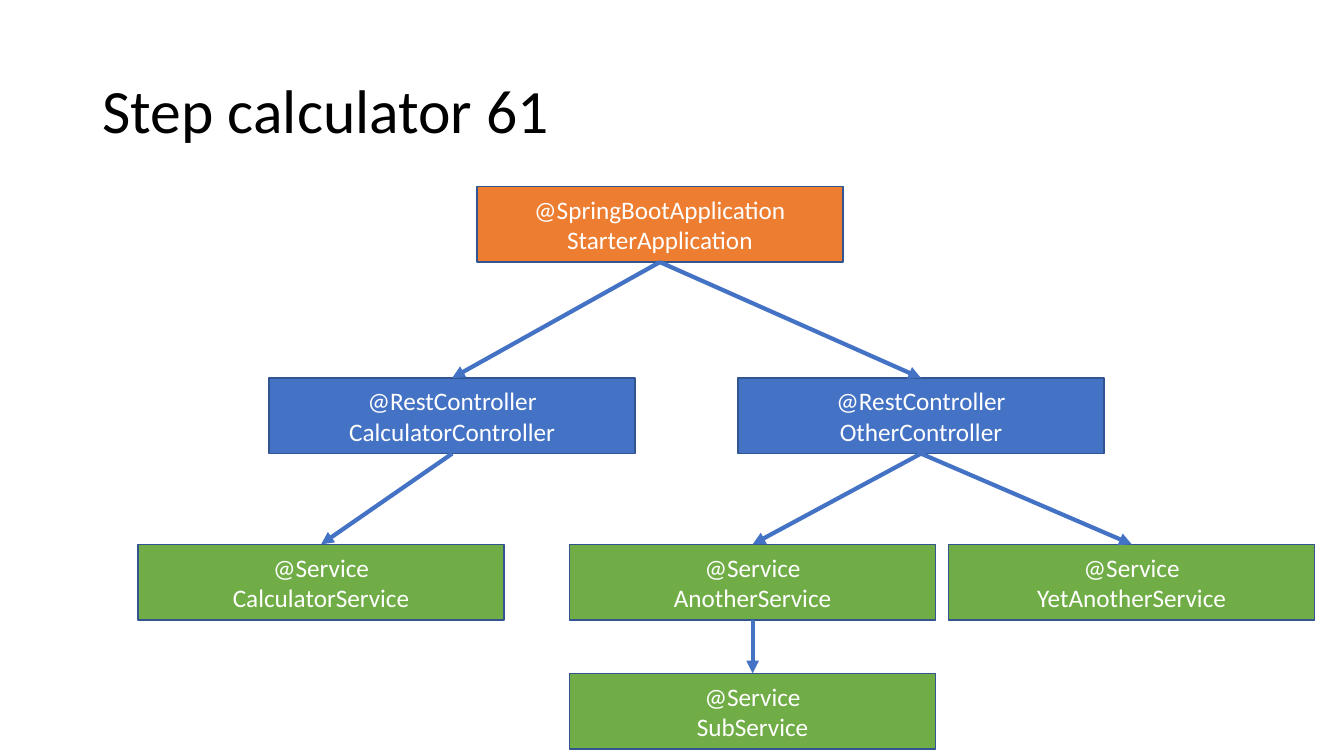
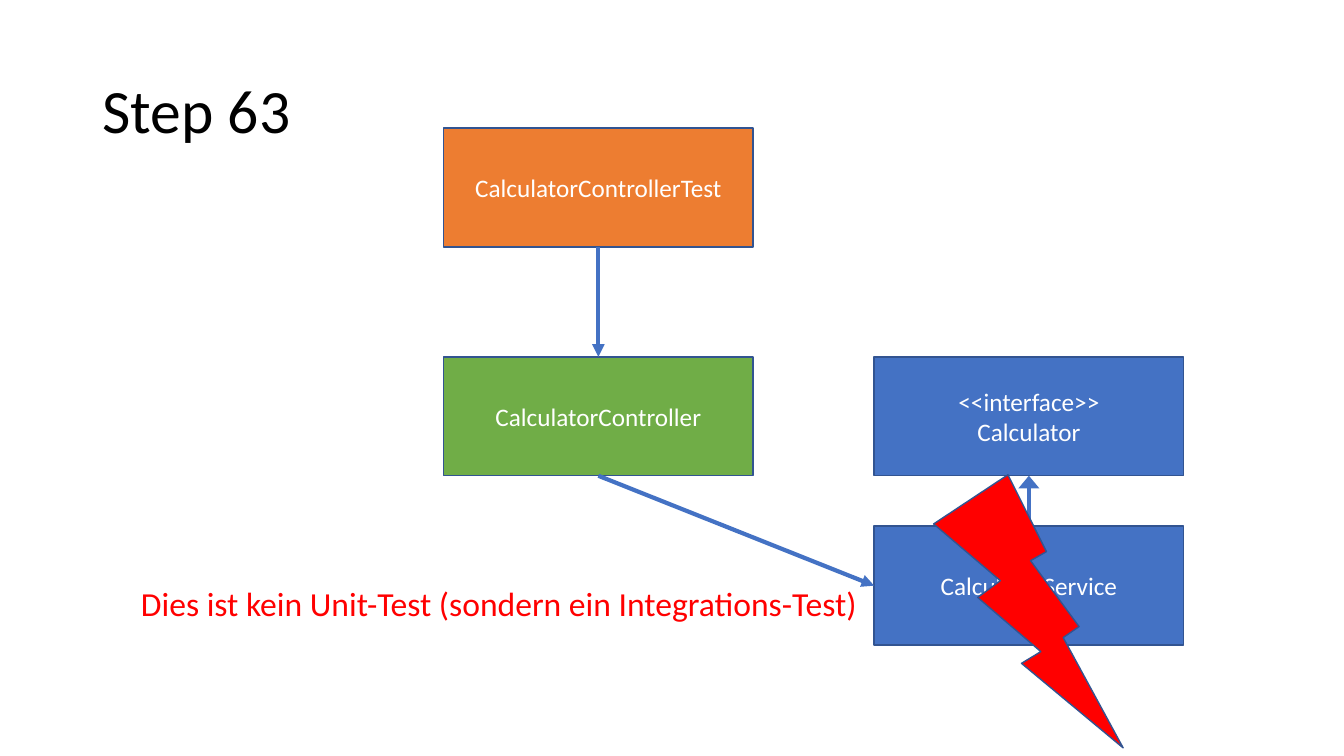
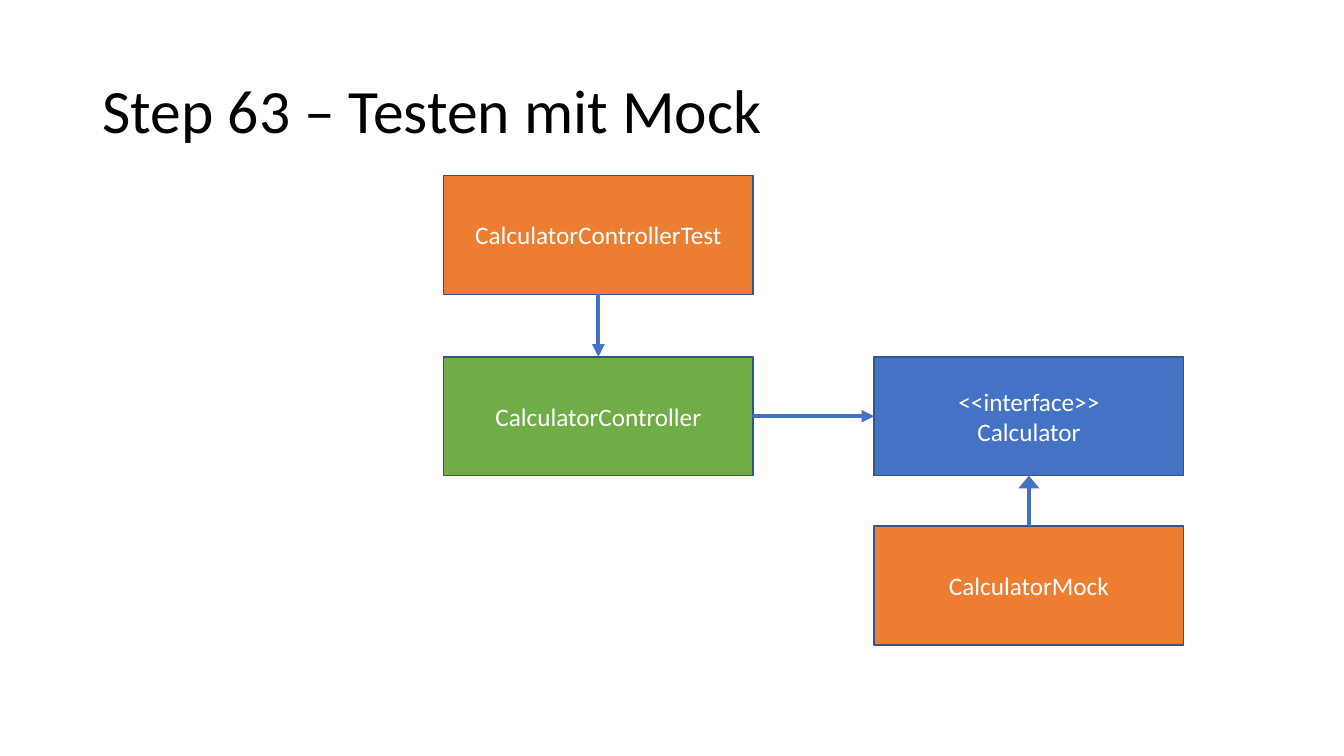
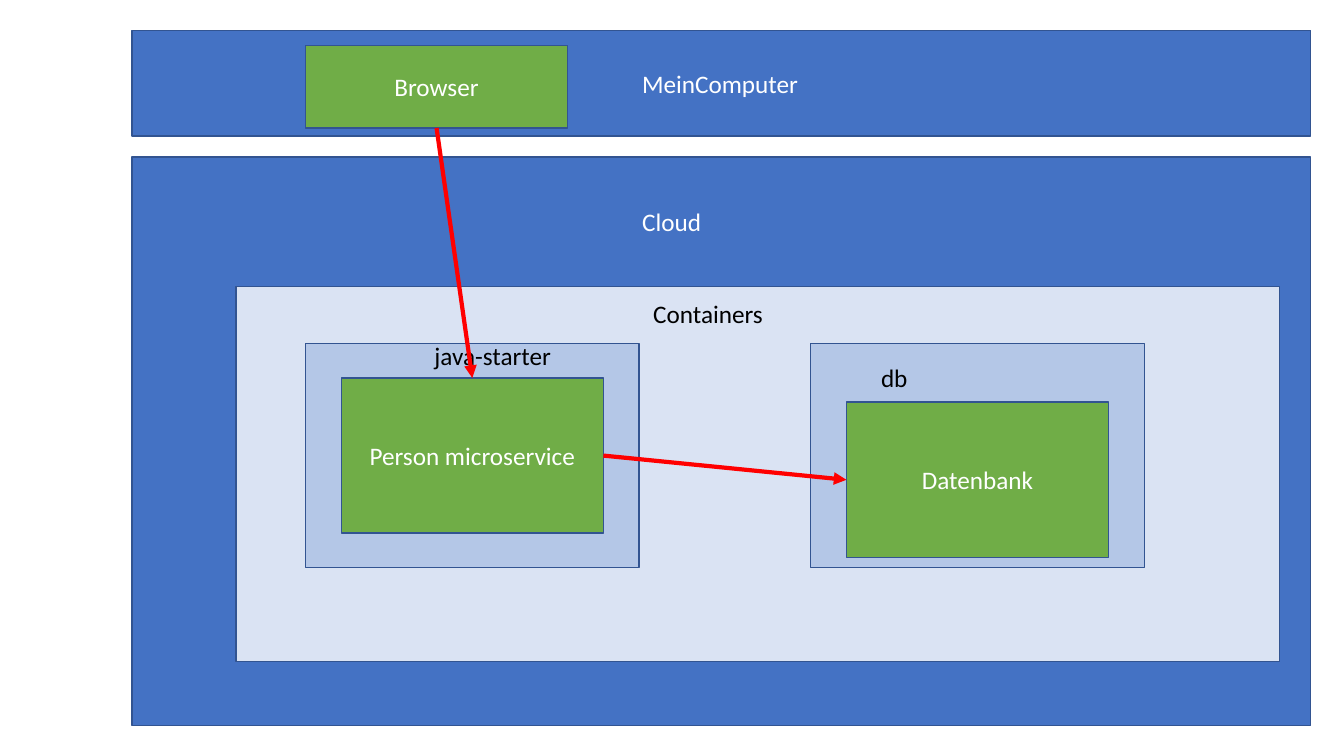
from lxml import etree
from pptx import Presentation
from pptx.dml.color import RGBColor
from pptx.enum.shapes import MSO_CONNECTOR, MSO_SHAPE
from pptx.enum.text import MSO_ANCHOR, MSO_AUTO_SIZE, PP_ALIGN
from pptx.oxml.ns import qn
from pptx.util import Inches, Pt

RECTANGLE, BOLT = MSO_SHAPE.RECTANGLE, MSO_SHAPE.LIGHTNING_BOLT
STRAIGHT = MSO_CONNECTOR.STRAIGHT
MIDDLE, CENTER = MSO_ANCHOR.MIDDLE, PP_ALIGN.CENTER
GROW = MSO_AUTO_SIZE.SHAPE_TO_FIT_TEXT

FONT = "Calibri"
COLORS = {
    "blue": "4472C4", "orange": "ED7D31", "green": "70AD47", "red": "FF0000",
    "pale": "DAE3F3", "soft": "B4C7E7", "outline": "325491",
    "white": "FFFFFF", "black": "000000",
}
SLIDE_SIZE = (13.33, 7.5)
TITLE_AREA = (0.92, 0.4, 11.5, 1.45)
LABEL_HEIGHT = 0.4
TOP, LEFT, BOTTOM, RIGHT = range(4)  # connection sites of a rectangle

# Bean tree: rows from the top, equal boxes
BEAN_SIZE = (3.63, 0.75)
APP_ROW, CONTROLLER_ROW, SERVICE_ROW, SUB_ROW = 1.85, 3.75, 5.4, 6.68

# Class diagrams: two columns, two shared rows, equal boxes
CLASS_SIZE = (3.07, 1.18)
LEFT_COL, RIGHT_COL = 4.4, 8.67
UPPER_ROW, LOWER_ROW = 3.54, 5.22

# Deployment: outer bands, pods and the parts inside them
BAND_LEFT, BAND_WIDTH = 1.31, 11.69
POD_SIZE, PART_SIZE = (3.31, 2.22), (2.6, 1.54)
STARTER_LEFT, DB_LEFT, POD_TOP = 3.03, 8.04, 3.41
PART_INDENT = (POD_SIZE[0] - PART_SIZE[0]) / 2

# Boxes: key -> (lines, fill, (left, top), (width, height))
# Arrows: (from key, site, to key, site, colour, head width)
BEANS = {
    "app": (["@SpringBootApplication", "StarterApplication"], "orange", (4.73, APP_ROW), BEAN_SIZE),
    "calculator": (["@RestController", "CalculatorController"], "blue", (2.67, CONTROLLER_ROW), BEAN_SIZE),
    "other": (["@RestController", "OtherController"], "blue", (7.32, CONTROLLER_ROW), BEAN_SIZE),
    "service": (["@Service", "CalculatorService"], "green", (1.37, SERVICE_ROW), BEAN_SIZE),
    "another": (["@Service", "AnotherService"], "green", (5.65, SERVICE_ROW), BEAN_SIZE),
    "yet another": (["@Service", "YetAnotherService"], "green", (9.41, SERVICE_ROW), BEAN_SIZE),
    "sub": (["@Service", "SubService"], "green", (5.65, SUB_ROW), BEAN_SIZE),
}
BEAN_LINKS = [
    ("app", "calculator"), ("app", "other"), ("calculator", "service"),
    ("other", "yet another"), ("other", "another"), ("another", "sub"),
]


def class_boxes(test_top, implementation, fill):
    return {
        "controller": (["CalculatorController"], "green", (LEFT_COL, UPPER_ROW), CLASS_SIZE),
        "interface": (["<<interface>>", "Calculator"], "blue", (RIGHT_COL, UPPER_ROW), CLASS_SIZE),
        "implementation": ([implementation], fill, (RIGHT_COL, LOWER_ROW), CLASS_SIZE),
        "test": (["CalculatorControllerTest"], "orange", (LEFT_COL, test_top), CLASS_SIZE),
    }


CLASS_ARROWS = [
    ("implementation", TOP, "interface", BOTTOM, "blue", "lg"),
    ("test", BOTTOM, "controller", TOP, "blue", "med"),
]
DEPLOYMENT = {
    "cloud": ([], "blue", (BAND_LEFT, 1.56), (BAND_WIDTH, 5.64)),
    "cluster": ([], "pale", (2.34, 2.84), (10.35, 3.72)),
    "db pod": ([], "soft", (DB_LEFT, POD_TOP), POD_SIZE),
    "starter pod": ([], "soft", (STARTER_LEFT, POD_TOP), POD_SIZE),
    "database": (["Datenbank"], "green", (DB_LEFT + PART_INDENT, 3.99), PART_SIZE),
    "person": (["Person microservice"], "green", (STARTER_LEFT + PART_INDENT, 3.75), PART_SIZE),
    "computer": ([], "blue", (BAND_LEFT, 0.3), (BAND_WIDTH, 1.05)),
    "browser": (["Browser"], "green", (STARTER_LEFT, 0.45), (PART_SIZE[0], 0.82)),
}

SLIDES = [
    {
        "title": "Step calculator 61",
        "boxes": BEANS,
        "arrows": [(parent, BOTTOM, child, TOP, "blue", "med") for parent, child in BEAN_LINKS],
    },
    {
        "title": "Step 63",
        "boxes": class_boxes(1.27, "CalculatorService", "blue"),
        "arrows": CLASS_ARROWS + [("controller", BOTTOM, "implementation", LEFT, "blue", "med")],
        "bolt": (9.26, 4.71, 1.88, 2.71),
        "labels": [("Dies ist kein Unit-Test (sondern ein Integrations-Test)", "red", 24, 1.3, 5.73, 7.37)],
    },
    {
        "title": "Step 63 – Testen mit Mock",
        "boxes": class_boxes(1.74, "CalculatorMock", "orange"),
        "arrows": CLASS_ARROWS + [("controller", RIGHT, "interface", LEFT, "blue", "med")],
    },
    {
        "boxes": DEPLOYMENT,
        "labels": [
            ("Cloud", "white", 18, 6.27, 2, 0.79),
            ("db", "black", 18, 8.64, 3.55, 0.47),
            ("Containers", "black", 18, 6.38, 2.91, 1.37),
            ("java-starter", "black", 18, 4.21, 3.33, 1.37),
            ("MeinComputer", "white", 18, 6.27, 0.63, 1.77),
        ],
        "arrows": [
            ("person", RIGHT, "database", LEFT, "red", "med"),
            ("browser", BOTTOM, "person", TOP, "red", "med"),
        ],
    },
]


def rgb(name):
    return RGBColor.from_string(COLORS[name])


def style_text(frame, size, color):
    for paragraph in frame.paragraphs:
        for run in paragraph.runs:
            run.font.name, run.font.size = FONT, Pt(size)
            run.font.color.rgb = rgb(color)


def add_title(slide, title):
    frame = slide.shapes.add_textbox(*map(Inches, TITLE_AREA)).text_frame
    frame.word_wrap, frame.vertical_anchor = True, MIDDLE
    frame.text = title
    frame.paragraphs[0].line_spacing = 0.9
    style_text(frame, 44, "black")


def add_outlined(slide, preset, fill, area):
    shape = slide.shapes.add_shape(preset, *map(Inches, area))
    shape.shadow.inherit = False
    shape.fill.solid()
    shape.fill.fore_color.rgb = rgb(fill)
    shape.line.color.rgb, shape.line.width = rgb("outline"), Pt(1)
    return shape


def add_box(slide, lines, fill, position, size):
    box = add_outlined(slide, RECTANGLE, fill, position + size)
    if lines:
        frame = box.text_frame
        frame.vertical_anchor = MIDDLE
        frame.paragraphs[0].text = "\v".join(lines)
        frame.paragraphs[0].alignment = CENTER
        style_text(frame, 18, "white")
    return box


def add_label(slide, text, color, size, left, top, width):
    height = LABEL_HEIGHT * size / 18
    frame = slide.shapes.add_textbox(*map(Inches, (left, top, width, height))).text_frame
    frame.word_wrap, frame.auto_size = False, GROW
    frame.text = text
    style_text(frame, size, color)


def add_arrow(slide, boxes, start, start_site, end, end_site, color, head_width):
    arrow = slide.shapes.add_connector(STRAIGHT, 0, 0, 0, 0)
    arrow.begin_connect(boxes[start], start_site)
    arrow.end_connect(boxes[end], end_site)
    arrow.line.color.rgb, arrow.line.width = rgb(color), Pt(3)
    properties = arrow.element.spPr
    etree.SubElement(properties.find(qn("a:ln")), qn("a:tailEnd"), type="triangle", w=head_width)
    etree.SubElement(properties, qn("a:effectLst"))


def main():
    deck = Presentation()
    deck.slide_width, deck.slide_height = map(Inches, SLIDE_SIZE)
    for content in SLIDES:
        slide = deck.slides.add_slide(deck.slide_layouts[6])
        if "title" in content:
            add_title(slide, content["title"])
        boxes = {key: add_box(slide, *box) for key, box in content["boxes"].items()}
        for label in content.get("labels", []):
            add_label(slide, *label)
        for arrow in content["arrows"]:
            add_arrow(slide, boxes, *arrow)
        if "bolt" in content:
            add_outlined(slide, BOLT, "red", content["bolt"])
    deck.save("out.pptx")


if __name__ == "__main__":
    main()
